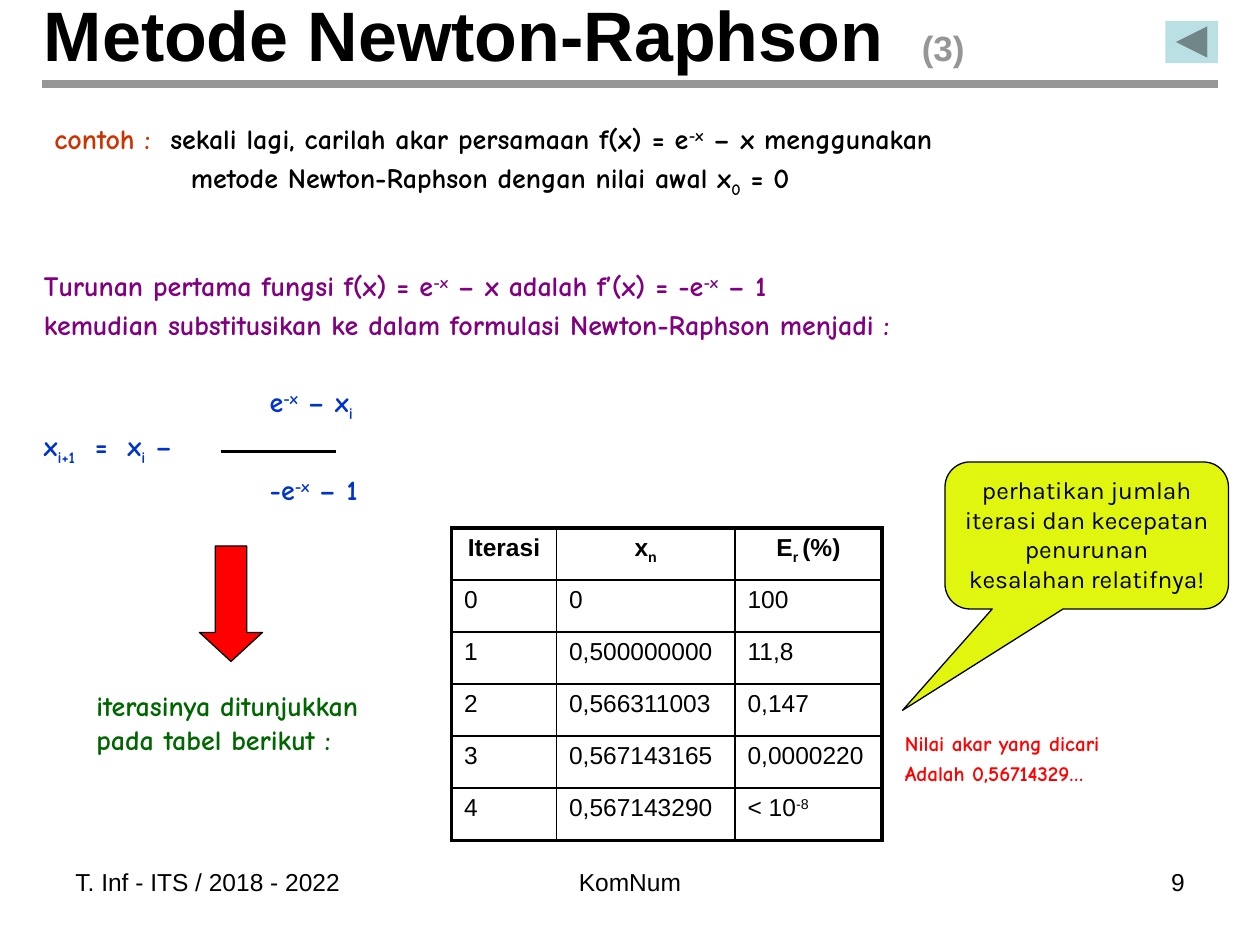
from pptx import Presentation
from pptx.dml.color import RGBColor
from pptx.enum.shapes import MSO_CONNECTOR, MSO_SHAPE
from pptx.enum.text import MSO_ANCHOR, PP_ALIGN
from pptx.oxml.ns import qn
from pptx.util import Pt
from lxml import etree

LEFT, CENTER, RIGHT = PP_ALIGN.LEFT, PP_ALIGN.CENTER, PP_ALIGN.RIGHT
TOP, MIDDLE = MSO_ANCHOR.TOP, MSO_ANCHOR.MIDDLE
STRAIGHT = MSO_CONNECTOR.STRAIGHT
DOWN_ARROW = MSO_SHAPE.DOWN_ARROW
CALLOUT = MSO_SHAPE.ROUNDED_RECTANGULAR_CALLOUT
BACK_BUTTON = MSO_SHAPE.ACTION_BUTTON_BACK_OR_PREVIOUS

BLACK, BLUE, PURPLE = "000000", "0033CC", "800080"
SUP, SUB = 30000, -25000
POWER = ("-x", {"base": SUP})
INDEX = ("i", {"base": SUB})

TITLE = [([("Metode Newton-Raphson  ", {}), ("(3)", {"size": 20, "color": "969696"})], {})]
EXAMPLE = [
    ([("contoh :", {"color": "CC3300"}), ("  sekali lagi, carilah akar persamaan f(x) = e", {}),
      POWER, (" – x menggunakan", {})], {}),
    ([("metode Newton-Raphson dengan nilai awal x", {}), ("0", {"base": SUB}), (" = 0", {})],
     {"before": 3.2, "indent": 78}),
]
DERIVATION = [
    ([("Turunan pertama fungsi f(x) = e", {}), POWER, (" – x adalah f’(x) = -e", {}),
      POWER, (" – 1", {})], {}),
    ([("kemudian substitusikan ke dalam formulasi Newton-Raphson menjadi :", {})],
     {"before": 3.2}),
    ([("e", {}), POWER, (" – x", {}), INDEX], {"before": 24.8, "indent": 129, "color": BLUE}),
    ([("x", {}), ("i+1", {"base": SUB}), ("  =  x", {}), INDEX, (" –", {})],
     {"before": 3.2, "color": BLUE}),
    ([("-e", {}), POWER, (" – 1", {})], {"before": 3.2, "indent": 129, "color": BLUE}),
]
TABLE_INTRO = [([("iterasinya ditunjukkan pada tabel berikut :", {})], {})]
ROOT_VALUE = [
    ([("Nilai akar yang dicari", {})], {}),
    ([("Adalah 0,56714329…", {})], {"before": 2.4}),
]
REMARK = [([("perhatikan jumlah iterasi dan kecepatan penurunan kesalahan relatifnya!", {})], {})]
FOOTERS = [
    ("T. Inf - ITS / 2018 - 2022", 36, 168, LEFT),
    ("KomNum", 246, 228, CENTER),
    ("9", 516, 168, RIGHT),
]
ITERATIONS = [
    [[("Iterasi", {})], [("x", {}), ("n", {"base": SUB})],
     [("E", {}), ("r ", {"base": SUB}), ("(%)", {})]],
    [[("0", {})], [("0", {})], [("100", {})]],
    [[("1", {})], [("0,500000000", {})], [("11,8", {})]],
    [[("2", {})], [("0,566311003", {})], [("0,147", {})]],
    [[("3", {})], [("0,567143165", {})], [("0,0000220", {})]],
    [[("4", {})], [("0,567143290", {})], [("< 10", {}), ("-8", {"base": SUP})]],
]
COLUMN_WIDTHS = [60, 102, 84]
ROW_HEIGHT = 29.75


def rgb(value):
    return RGBColor.from_string(value)


def write(frame, paragraphs, font, size, color=BLACK, bold=False, align=LEFT):
    for number, (runs, layout) in enumerate(paragraphs):
        para = frame.paragraphs[0] if number == 0 else frame.add_paragraph()
        para.alignment = align
        if "before" in layout:
            para.space_before = Pt(layout["before"])
        if "indent" in layout:
            properties = para._p.get_or_add_pPr()
            properties.set("marL", str(Pt(layout["indent"])))
            properties.set("indent", "0")
        for text, style in runs:
            span = para.add_run()
            span.text = text
            span.font.name = font
            span.font.size = Pt(style.get("size", size))
            span.font.bold = bold
            span.font.color.rgb = rgb(style.get("color", layout.get("color", color)))
            if "base" in style:
                span._r.get_or_add_rPr().set("baseline", str(style["base"]))


def add_text(page, area, paragraphs, font, size, anchor=TOP, **style):
    box = page.shapes.add_textbox(*map(Pt, area))
    box.text_frame.word_wrap = True
    box.text_frame.vertical_anchor = anchor
    write(box.text_frame, paragraphs, font, size, **style)


def add_rule(page, left, right, y, color, weight):
    rule = page.shapes.add_connector(STRAIGHT, Pt(left), Pt(y), Pt(right), Pt(y))
    rule.line.color.rgb = rgb(color)
    rule.line.width = Pt(weight)
    etree.SubElement(rule._element.spPr, qn("a:effectLst"))


def add_shape(page, kind, area, fill, adjustments=(), outlined=True):
    shape = page.shapes.add_shape(kind, *map(Pt, area))
    shape.shadow.inherit = False
    shape.fill.solid()
    shape.fill.fore_color.rgb = rgb(fill)
    if outlined:
        shape.line.color.rgb = rgb(BLACK)
        shape.line.width = Pt(0.75)
    else:
        shape.line.fill.background()
    for number, value in enumerate(adjustments):
        shape.adjustments[number] = value
    return shape


def add_border(cell, side, weight):
    border = etree.SubElement(cell._tc.get_or_add_tcPr(), qn("a:ln" + side), w=str(Pt(weight)))
    fill = etree.SubElement(border, qn("a:solidFill"))
    etree.SubElement(fill, qn("a:srgbClr"), val=BLACK)


def add_iterations(page, left, top):
    rows, columns = len(ITERATIONS), len(COLUMN_WIDTHS)
    table = page.shapes.add_table(rows, columns, Pt(left), Pt(top), Pt(sum(COLUMN_WIDTHS)),
                                  Pt(rows * ROW_HEIGHT)).table
    table.first_row = table.horz_banding = False
    for column, width in zip(table.columns, COLUMN_WIDTHS):
        column.width = Pt(width)
    for r, values in enumerate(ITERATIONS):
        table.rows[r].height = Pt(ROW_HEIGHT)
        for c, runs in enumerate(values):
            cell = table.cell(r, c)
            outer = {"L": c == 0, "R": c == columns - 1, "T": r == 0, "B": r == rows - 1}
            for side, is_outer in outer.items():
                add_border(cell, side, 2.25 if is_outer else 1)
            cell.fill.background()
            write(cell.text_frame, [(runs, {})], "Arial", 14, bold=r == 0,
                  align=CENTER if r == 0 else LEFT)


def main():
    deck = Presentation()
    deck.slide_width, deck.slide_height = Pt(720), Pt(540)
    page = deck.slides.add_slide(deck.slide_layouts[6])

    for text, left, width, align in FOOTERS:
        add_text(page, (left, 492, width, 37.5), [([(text, {})], {})], "Arial", 14, align=align)
    add_text(page, (18, 0, 648, 38), TITLE, "Arial", 40, anchor=MIDDLE, bold=True)
    add_rule(page, 24, 696, 48, "969696", 4.5)
    add_text(page, (24, 66, 678, 54), EXAMPLE, "Comic Neue", 16, bold=True)
    add_text(page, (18, 150, 624, 144), DERIVATION, "Comic Neue", 16, color=PURPLE, bold=True)
    add_rule(page, 126, 192, 258, BLACK, 2.25)
    add_iterations(page, 258, 301.75)
    add_text(page, (48, 390, 198, 48), TABLE_INTRO, "Comic Neue", 16, color="006600", bold=True)
    add_shape(page, DOWN_ARROW, (114, 312, 36, 66), "FF0000", (0.5, 0.46))

    callout = add_shape(page, CALLOUT, (540, 264, 162, 84), "E0F60E", (-0.65, 1.19, 0.17))
    callout.text_frame.word_wrap = True
    callout.text_frame.vertical_anchor = TOP
    write(callout.text_frame, REMARK, "Karla", 14, align=CENTER)

    add_shape(page, BACK_BUTTON, (666, 12, 30, 24), "BBE0E3", outlined=False)
    add_text(page, (510, 414, 186, 48), ROOT_VALUE, "Comic Neue", 12, color="FF0000", bold=True)
    deck.save("out.pptx")


if __name__ == "__main__":
    main()
